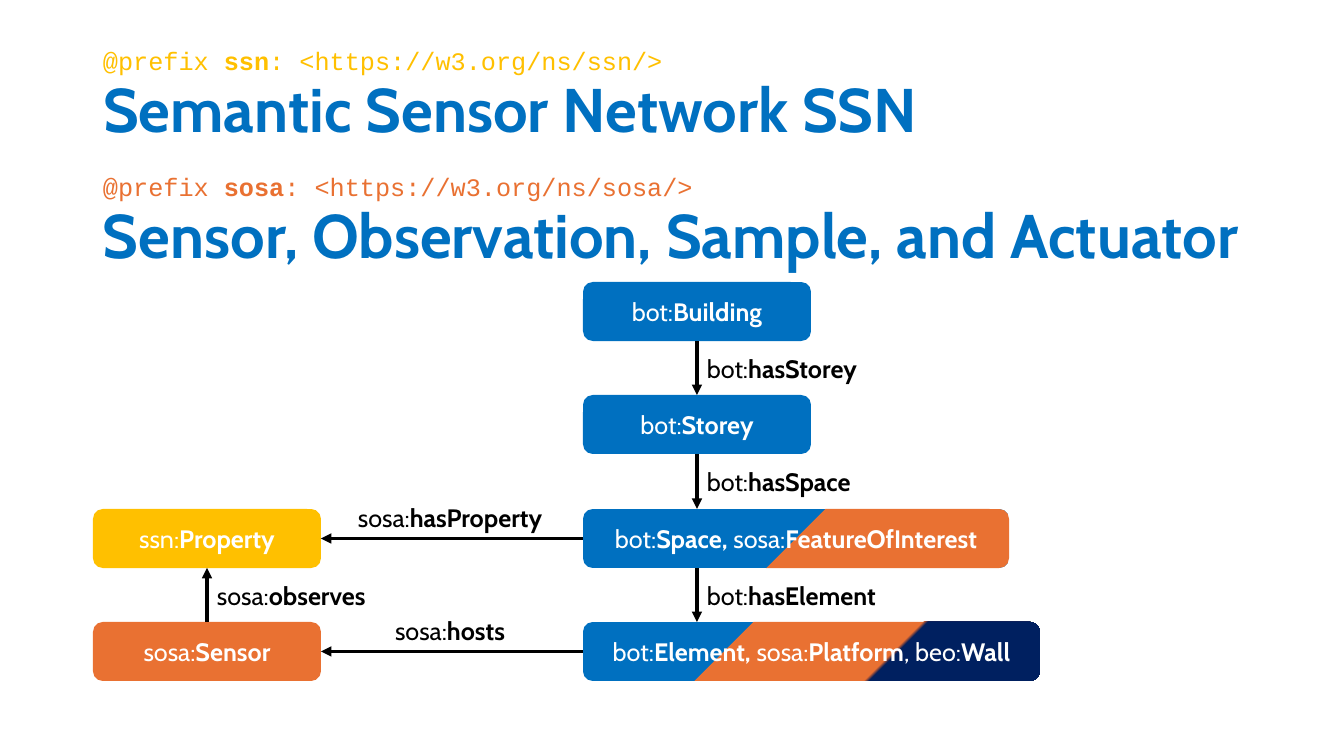
from lxml import etree
from pptx import Presentation
from pptx.dml.color import RGBColor
from pptx.enum.shapes import MSO_CONNECTOR, MSO_SHAPE
from pptx.enum.text import MSO_ANCHOR as ANCHOR, MSO_AUTO_SIZE, PP_ALIGN as ALIGN
from pptx.oxml import parse_xml
from pptx.oxml.ns import nsdecls, qn
from pptx.util import Pt

PX = 914400 / 100.8
BLUE = RGBColor(0x00, 0x70, 0xC0)
NAVY = RGBColor(0x00, 0x20, 0x60)
ORANGE = RGBColor(0xE9, 0x71, 0x32)
YELLOW = RGBColor(0xFF, 0xC0, 0x00)
WHITE = RGBColor(0xFF, 0xFF, 0xFF)
BLACK = RGBColor(0x00, 0x00, 0x00)


def px(*lengths):
    return [round(n * PX) for n in lengths]


def write(sp, text, size=18, font="Cabin", color=BLACK, align=ALIGN.LEFT,
          anchor=ANCHOR.TOP, spacing=1.0):
    tf = sp.text_frame
    tf.word_wrap = True
    tf.auto_size = MSO_AUTO_SIZE.NONE
    tf.vertical_anchor = anchor
    p = tf.paragraphs[0]
    p.alignment = align
    p.line_spacing = spacing
    for i, part in enumerate(text.split("*")):
        if part:
            r = p.add_run()
            r.text = part
            r.font.size = Pt(size)
            r.font.name = font
            r.font.bold = i % 2 == 1
            r.font.color.rgb = color


prs = Presentation()
prs.slide_width, prs.slide_height = px(1344, 756)
slide = prs.slides.add_slide(prs.slide_layouts[5])
shapes = slide.shapes

title = shapes.title
title.left, title.top, title.width, title.height = px(93, 40, 1159, 146)
subtitle = shapes.add_textbox(*px(93, 166, 1159, 146))
headings = [
    (title, 40, "Semantic Sensor Network SSN", "@prefix *ssn*: <https://w3.org/ns/ssn/>", YELLOW),
    (subtitle, 166, "Sensor, Observation, Sample, and Actuator",
     "@prefix *sosa*: <https://w3.org/ns/sosa/>", ORANGE),
]
for sp, top, heading, prefix, color in headings:
    write(sp, f"*{heading}*", size=44, color=BLUE, anchor=ANCHOR.MIDDLE, spacing=0.9)
    write(shapes.add_textbox(*px(93, top, 672, 40)), prefix, font="Courier New", color=color)

ROWS = [282, 395, 509, 622]
BOX_W, BOX_H = 228, 59
LEFT_X, MAIN_X = 93, 583
LEFT_MID, MAIN_MID = LEFT_X + BOX_W // 2, MAIN_X + BOX_W // 2

boxes = {}
for name, x, row, w, text, stops in [
    ("building", MAIN_X, 0, BOX_W, "bot:*Building*", [(0, BLUE)]),
    ("storey", MAIN_X, 1, BOX_W, "bot:*Storey*", [(0, BLUE)]),
    ("space", MAIN_X, 2, 426, "bot:*Space, *sosa:*FeatureOfInterest*", [(50, BLUE), (50, ORANGE)]),
    ("element", MAIN_X, 3, 457, "bot:*Element, *sosa:*Platform*, beo:*Wall*",
     [(33, BLUE), (33, ORANGE), (66, ORANGE), (67, NAVY)]),
    ("property", LEFT_X, 2, BOX_W, "ssn:*Property*", [(0, YELLOW)]),
    ("sensor", LEFT_X, 3, BOX_W, "sosa:*Sensor*", [(0, ORANGE)]),
]:
    sp = shapes.add_shape(MSO_SHAPE.ROUNDED_RECTANGLE, *px(x, ROWS[row], w, BOX_H))
    sp.shadow.inherit = False
    sp.line.fill.background()
    sp.fill.solid()
    sp.fill.fore_color.rgb = stops[0][1]
    if len(stops) > 1:
        gs = "".join(f'<a:gs pos="{pos * 1000}"><a:srgbClr val="{color}"/></a:gs>'
                     for pos, color in stops)
        solid = sp._element.spPr.find(qn("a:solidFill"))
        solid.getparent().replace(solid, parse_xml(
            f'<a:gradFill {nsdecls("a")} rotWithShape="1"><a:gsLst>{gs}</a:gsLst>'
            '<a:lin ang="2700000" scaled="0"/></a:gradFill>'))
    write(sp, text, color=WHITE, align=ALIGN.CENTER, anchor=ANCHOR.MIDDLE)
    boxes[name] = sp

TOP, LEFT, BOTTOM, RIGHT = range(4)
SPACE_Y, ELEMENT_Y = ROWS[2] + BOX_H // 2, ROWS[3] + BOX_H // 2
for ends, start, finish in [
    ((MAIN_MID, ROWS[0] + BOX_H, MAIN_MID, ROWS[1]), ("building", BOTTOM), ("storey", TOP)),
    ((MAIN_MID, ROWS[1] + BOX_H, MAIN_MID, ROWS[2]), ("storey", BOTTOM), None),
    ((MAIN_MID, ROWS[2] + BOX_H, MAIN_MID, ROWS[3]), None, None),
    ((MAIN_X, SPACE_Y, LEFT_X + BOX_W, SPACE_Y), ("space", LEFT), ("property", RIGHT)),
    ((MAIN_X, ELEMENT_Y, LEFT_X + BOX_W, ELEMENT_Y), ("element", LEFT), ("sensor", RIGHT)),
    ((LEFT_MID, ROWS[3], LEFT_MID, ROWS[2] + BOX_H), ("sensor", TOP), ("property", BOTTOM)),
]:
    arrow = shapes.add_connector(MSO_CONNECTOR.STRAIGHT, *px(*ends))
    if start:
        arrow.begin_connect(boxes[start[0]], start[1])
    if finish:
        arrow.end_connect(boxes[finish[0]], finish[1])
    arrow.line.color.rgb = BLACK
    arrow.line.width = Pt(2.5)
    etree.SubElement(arrow.line._get_or_add_ln(), qn("a:tailEnd"), type="triangle")
    etree.SubElement(arrow._element.spPr, qn("a:effectLst"))

for x, y, w, text, align in [
    (MAIN_MID, ROWS[0] + 66, 204, "bot:*hasStorey*", ALIGN.LEFT),
    (MAIN_MID, ROWS[1] + 66, 204, "bot:*hasSpace*", ALIGN.LEFT),
    (MAIN_MID, ROWS[2] + 66, 204, "bot:*hasElement*", ALIGN.LEFT),
    (LEFT_MID, ROWS[2] + 66, 204, "sosa:*observes*", ALIGN.LEFT),
    (336, ROWS[2] - 12, BOX_W, "sosa:*hasProperty*", ALIGN.CENTER),
    (336, ROWS[3] - 12, BOX_W, "sosa:*hosts*", ALIGN.CENTER),
]:
    write(shapes.add_textbox(*px(x, y, w, 40)), text, align=align)

prs.save("out.pptx")
